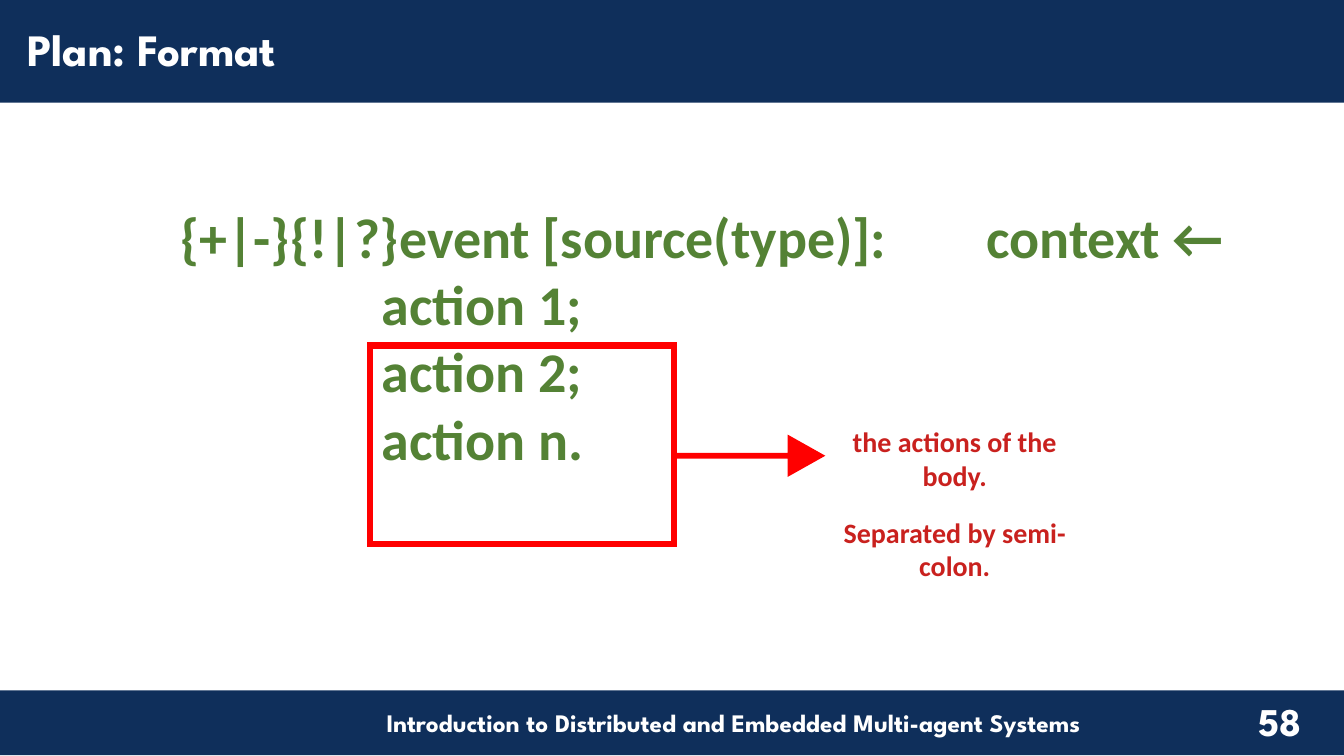
from dataclasses import dataclass

from lxml import etree
from pptx import Presentation
from pptx.dml.color import RGBColor
from pptx.enum.shapes import MSO_SHAPE
from pptx.enum.text import MSO_ANCHOR, MSO_AUTO_SIZE, PP_ALIGN
from pptx.oxml.ns import qn
from pptx.util import Cm, Pt

RECTANGLE = MSO_SHAPE.RECTANGLE
RIGHT_ARROW = MSO_SHAPE.RIGHT_ARROW
LEFT, CENTER = PP_ALIGN.LEFT, PP_ALIGN.CENTER
TOP = MSO_ANCHOR.TOP
NO_AUTOFIT = MSO_AUTO_SIZE.NONE
TITLE_ONLY = 5


@dataclass(frozen=True)
class Theme:
    navy: RGBColor = RGBColor(0x0F, 0x2F, 0x5B)
    white: RGBColor = RGBColor(0xFF, 0xFF, 0xFF)
    green: RGBColor = RGBColor(0x54, 0x82, 0x35)
    red: RGBColor = RGBColor(0xFF, 0x00, 0x00)
    note_red: RGBColor = RGBColor(0xC9, 0x21, 0x1E)
    heading_font: str = "League Spartan"
    body_font: str = "Calibri"
    title_size: Pt = Pt(32)
    syntax_size: Pt = Pt(40)
    note_size: Pt = Pt(20)
    footer_size: Pt = Pt(18)
    number_size: Pt = Pt(28)
    frame_width: Pt = Pt(4.5)


THEME = Theme()


def place(shape, left, top, width, height):
    shape.left, shape.top = Cm(left), Cm(top)
    shape.width, shape.height = Cm(width), Cm(height)


def write(shape, text, font, size, color, align):
    frame = shape.text_frame
    frame.text = text
    frame.word_wrap = True
    frame.auto_size = NO_AUTOFIT
    frame.vertical_anchor = TOP
    for paragraph in frame.paragraphs:
        paragraph.alignment = align
        for run in paragraph.runs:
            run.font.name = font
            run.font.size = size
            run.font.bold = True
            run.font.color.rgb = color


def add_text(slide, box, text, font, size, color, align=CENTER):
    label = slide.shapes.add_textbox(*map(Cm, box))
    write(label, text, font, size, color, align)
    return label


def set_tab_stops(label, stops):
    for paragraph in label.text_frame.paragraphs:
        properties = paragraph._p.get_or_add_pPr()
        tab_list = etree.SubElement(properties, qn("a:tabLst"))
        for stop in stops:
            etree.SubElement(tab_list, qn("a:tab"), pos=str(Cm(stop)), algn="l")


def add_filled(slide, kind, box, color):
    shape = slide.shapes.add_shape(kind, *map(Cm, box))
    shape.shadow.inherit = False
    shape.fill.solid()
    shape.fill.fore_color.rgb = color
    shape.line.fill.background()
    return shape


def add_frame(slide, box, color, width):
    frame = slide.shapes.add_shape(RECTANGLE, *map(Cm, box))
    frame.shadow.inherit = False
    frame.fill.background()
    frame.line.color.rgb = color
    frame.line.width = width
    outline = frame.element.spPr.find(qn("a:ln"))
    etree.SubElement(outline, qn("a:miter"), lim="800000")


def add_title(slide, text):
    title = slide.shapes.title
    slide.shapes.element.append(title.element)
    place(title, 0.43, 0.41, 33.43, 1.6)
    write(title, text, THEME.heading_font, THEME.title_size, THEME.white, LEFT)


def main():
    presentation = Presentation()
    presentation.slide_width = Cm(33.87)
    presentation.slide_height = Cm(19.05)
    slide = presentation.slides.add_slide(presentation.slide_layouts[TITLE_ONLY])

    for top, height in ((17.4, 1.63), (0, 2.59)):
        add_filled(slide, RECTANGLE, (0, top, 33.87, height), THEME.navy)
    add_text(slide, (5.79, 17.7, 25.4, 1.02),
             "Introduction to Distributed and Embedded Multi-agent Systems",
             THEME.heading_font, THEME.footer_size, THEME.white)
    add_text(slide, (30.86, 17.45, 2.79, 1.6), "58",
             THEME.heading_font, THEME.number_size, THEME.white)
    add_title(slide, "Plan: Format")

    plan_lines = ["{+|-}{!|?}event [source(type)]: \tcontext ←"]
    plan_lines += [f"\t\taction {step}" for step in ("1;", "2;", "n.")]
    plan = add_text(slide, (4.29, 4.98, 27.99, 7.01), "\n".join(plan_lines),
                    THEME.body_font, THEME.syntax_size, THEME.green, LEFT)
    set_tab_stops(plan, (2.54, 5.08, 20.32))

    add_frame(slide, (9.32, 8.71, 7.67, 5), THEME.red, THEME.frame_width)
    arrow = add_filled(slide, RIGHT_ARROW, (16.99, 10.95, 3.81, 1.07), THEME.red)
    arrow.adjustments[0] = 0.14
    arrow.adjustments[1] = 0.89

    notes = ("the actions of the body.", "Separated by semi-colon.")
    for row, note in enumerate(notes):
        add_text(slide, (20.62, 10.57 + 2.29 * row, 6.88, 1.96), note,
                 THEME.body_font, THEME.note_size, THEME.note_red)

    presentation.save("out.pptx")


if __name__ == "__main__":
    main()
